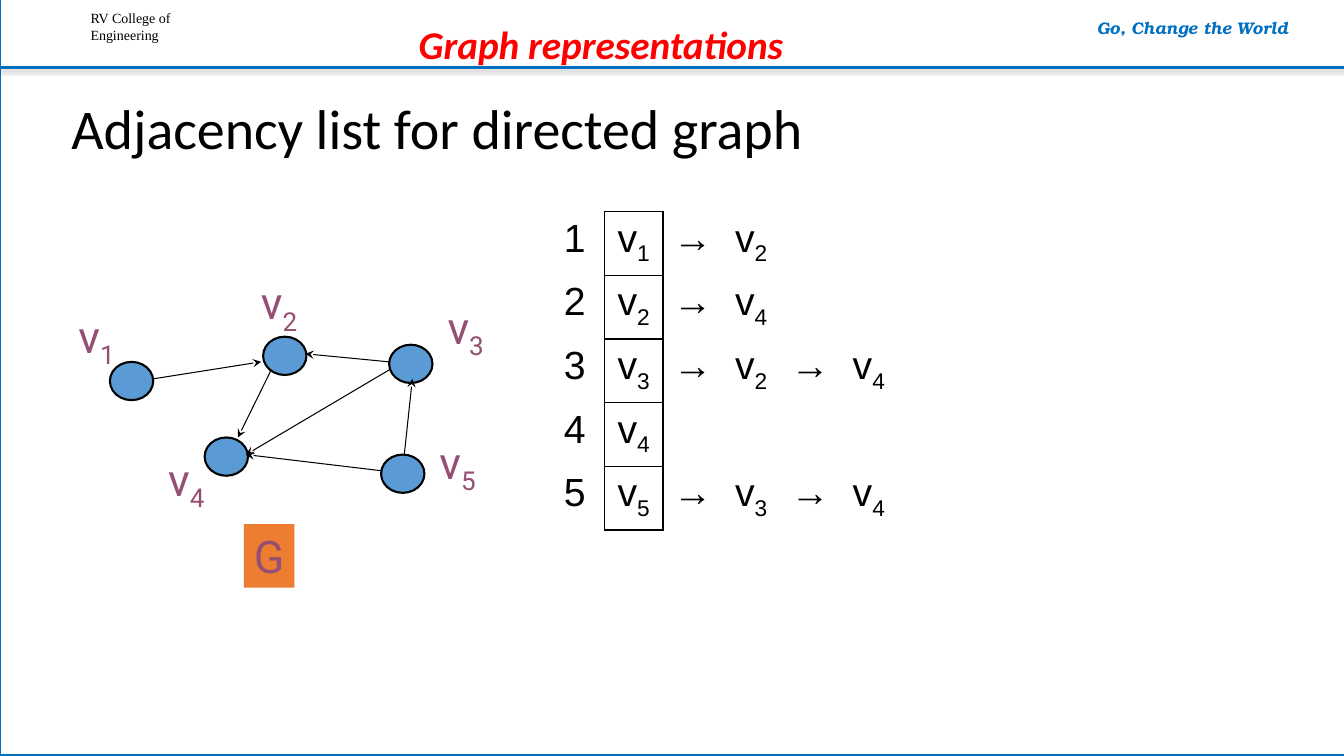
from lxml.etree import SubElement
from pptx import Presentation
from pptx.dml.color import RGBColor
from pptx.enum.shapes import MSO_CONNECTOR as Connector, MSO_SHAPE as Shape
from pptx.enum.text import MSO_AUTO_SIZE as AutoSize, PP_ALIGN as Align
from pptx.oxml.ns import qn
from pptx.util import Inches, Pt

COLORS = {"paper": "FFFFFF", "frame": "0070C0", "ink": "000000", "heading": "FF0000",
          "node": "5B9BD5", "label": "954F72", "badge": "ED7D31"}
LABEL = {"name": "Roboto", "size": Pt(32), "color": "label"}
CELL = {"name": "Arial", "size": Pt(28), "color": "ink"}

# Graph data: node positions and label positions relative to the graph's box
NODE_SIZE = (0.43, 0.38)
NODES = {"1": (0.41, 0.91), "2": (1.93, 0.66), "3": (3.18, 0.74),
         "4": (1.35, 1.66), "5": (3.1, 1.83)}
LABELS = {"1": (0, 0.33), "2": (1.81, 0), "3": (3.66, 0.24),
          "4": (0.89, 1.75), "5": (3.58, 1.58)}
EDGES = [((0.83, 1.08), (1.91, 0.91)), ((3.18, 0.91), (2.35, 0.83)),
         ((3.18, 0.99), (1.76, 1.83)), ((2.01, 0.99), (1.68, 1.66)),
         ((3.1, 1.99), (1.76, 1.83)), ((3.33, 1.83), (3.41, 1.08))]
ADJACENT = {"1": "2", "2": "4", "3": "24", "4": "", "5": "34"}


def rgb(color):
    return RGBColor.from_string(COLORS[color])


def set_font(font, style):
    for key, value in style.items():
        if key == "color":
            font.color.rgb = rgb(value)
        else:
            setattr(font, key, value)


def write(paragraph, text, style, subscript="", align=None):
    """Write text, with an optional subscript after it."""
    paragraph.alignment = align
    for part in filter(None, (text, subscript)):
        run = paragraph.add_run()
        run.text = part
        set_font(run.font, style)
    if subscript:
        run.font._element.set("baseline", "-25000")


def add_text(slide, box, lines, style, align=None, subscript="", wrap=True):
    frame = slide.shapes.add_textbox(*map(Inches, box)).text_frame
    frame.word_wrap = wrap
    frame.auto_size = AutoSize.NONE if wrap else AutoSize.SHAPE_TO_FIT_TEXT
    for index, line in enumerate(lines):
        paragraph = frame.add_paragraph() if index else frame.paragraphs[0]
        write(paragraph, line, style, subscript, align)
    return frame


def add_block(slide, kind, box, fill, line=None, width=0):
    block = slide.shapes.add_shape(kind, *map(Inches, box))
    block.shadow.inherit = False
    block.fill.solid()
    block.fill.fore_color.rgb = rgb(fill)
    if line:
        block.line.color.rgb = rgb(line)
        block.line.width = Pt(width)
    else:
        block.line.fill.background()
    return block


def add_line(slide, start, end, color, width):
    line = slide.shapes.add_connector(Connector.STRAIGHT, *map(Inches, (*start, *end)))
    line.line.color.rgb = rgb(color)
    line.line.width = Pt(width)
    effects = SubElement(line._element.spPr, qn("a:effectLst"))
    return line, effects


def build_header(slide, box):
    left, top, width, height = box
    # Slide frame
    add_block(slide, Shape.RECTANGLE, (left, top - 0.01, width + 0.05, 7.5),
              "paper", "frame", 2)
    # College name
    add_text(slide, (left + 0.8, top + 0.05, 1.47, 0.44), ["RV College of", "Engineering"],
             {"name": "Times New Roman", "size": Pt(10), "color": "ink"})
    # Rule with a soft shadow
    effects = add_line(slide, (left, top + height), (left + width + 0.09, top + height),
                       "frame", 2)[1]
    shadow = SubElement(effects, qn("a:outerShdw"), blurRad=str(Pt(3.1)), dist=str(Pt(1.6)),
                        dir="5400000", rotWithShape="0")
    shade = SubElement(shadow, qn("a:srgbClr"), val=COLORS["ink"])
    SubElement(shade, qn("a:alpha"), val="38000")
    # Motto and topic
    strong = {"bold": True, "italic": True}
    add_text(slide, (left + 10.33, top + 0.13, 3, 0.3), ["Go, Change the World"],
             {"name": "TeX Gyre Bonum", "size": Pt(12), "color": "frame", **strong},
             Align.CENTER)
    add_text(slide, (left + 2.52, top + 0.15, 6.88, 0.57), ["Graph representations"],
             {"name": "Calibri", "size": Pt(28), "color": "heading", **strong}, Align.CENTER)


def build_title(slide, box):
    title = add_text(slide, box, ["Adjacency list for directed graph"],
                     {"name": "Calibri", "size": Pt(40), "color": "ink"})
    title.paragraphs[0].line_spacing = 0.9


def build_graph(slide, box):
    left, top = box[:2]
    # Nodes
    for x, y in NODES.values():
        add_block(slide, Shape.OVAL, (left + x, top + y, *NODE_SIZE), "node", "ink", 1.5)
    # Directed edges
    for (x1, y1), (x2, y2) in EDGES:
        edge = add_line(slide, (left + x1, top + y1), (left + x2, top + y2), "ink", 0.75)[0]
        SubElement(edge.line._get_or_add_ln(), qn("a:tailEnd"), type="stealth")
    # Node labels
    for number, (x, y) in LABELS.items():
        add_text(slide, (left + x, top + y, 0.58, 0.63), ["v"], LABEL,
                 subscript=number, wrap=False)
    # Graph name
    badge = add_block(slide, Shape.RECTANGLE, (left + 1.74, top + 2.52, 0.5, 0.63), "badge")
    badge.text_frame.word_wrap = False
    write(badge.text_frame.paragraphs[0], "G", LABEL, align=Align.CENTER)


def set_borders(cell, visible):
    properties = cell._tc.get_or_add_tcPr()
    for side in "LRTB":
        border = SubElement(properties, qn(f"a:ln{side}"), w=str(Pt(1)))
        if side in visible:
            fill = SubElement(border, qn("a:solidFill"))
            SubElement(fill, qn("a:srgbClr"), val=COLORS["ink"])
        else:
            SubElement(border, qn("a:noFill"))


def build_adjacency_list(slide, box):
    table = slide.shapes.add_table(len(ADJACENT), 6, *map(Inches, box)).table
    table.first_row = table.horz_banding = False
    borders = {0: "R", 1: "LRTB", 2: "L"}
    for row, (number, targets) in enumerate(ADJACENT.items()):
        entries = [(number, ""), ("v", number)]
        for target in targets:
            entries += [("→", ""), ("v", target)]
        for column, cell in enumerate(table.rows[row].cells):
            set_borders(cell, borders.get(column, ""))
            cell.fill.background()
            if column < len(entries):
                text, subscript = entries[column]
                write(cell.text_frame.paragraphs[0], text, CELL, subscript, Align.CENTER)


def main():
    deck = Presentation()
    deck.slide_width, deck.slide_height = Inches(13.33), Inches(7.5)
    slide = deck.slides.add_slide(deck.slide_layouts[6])
    build_header(slide, (0, 0, 13.33, 0.67))
    build_title(slide, (0.61, 0.95, 9, 1.25))
    build_graph(slide, (0.68, 2.68, 4.24, 3.15))
    build_adjacency_list(slide, (5.41, 2.1, 3.5, 3.15))
    deck.save("out.pptx")


if __name__ == "__main__":
    main()
